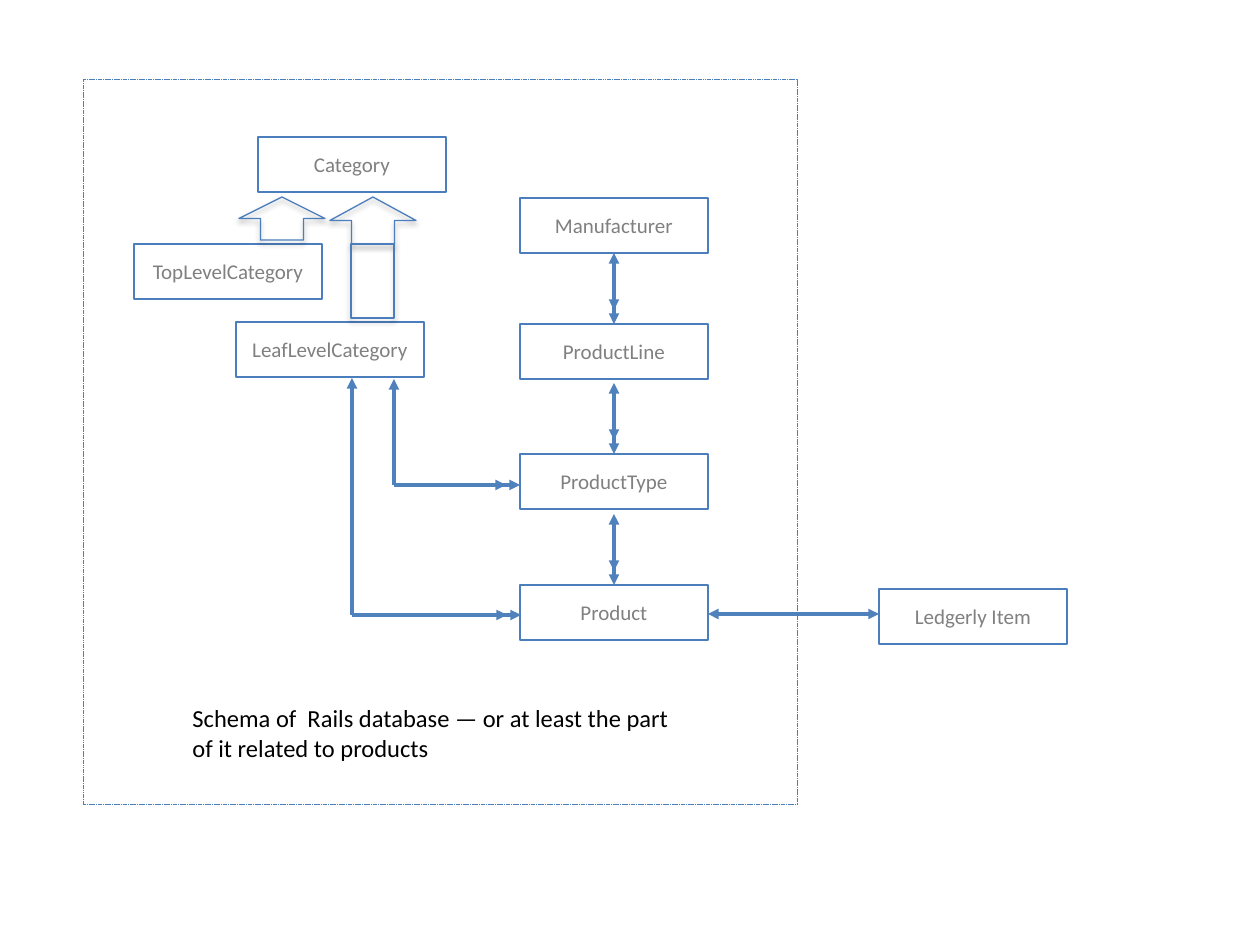
from lxml.etree import SubElement
from pptx import Presentation
from pptx.dml.color import RGBColor
from pptx.enum.dml import MSO_LINE
from pptx.enum.shapes import MSO_CONNECTOR, MSO_SHAPE
from pptx.enum.text import MSO_ANCHOR, PP_ALIGN
from pptx.oxml.ns import qn
from pptx.util import Pt

PX = 914400 // 126  # EMU in one px, 126 px to the inch
OUTLINE = RGBColor(0x4B, 0x7E, 0xBC)
LINK = RGBColor(0x4F, 0x81, 0xBD)
LABEL = RGBColor(0x80, 0x80, 0x80)
BLACK = RGBColor(0, 0, 0)
FONT = "Calibri"
TABLE_W, TABLE_H = 188, 55


def emu(*lengths):
    return [length * PX for length in lengths]


def add_run(paragraph, text, size, color):
    run = paragraph.add_run()
    run.text = text
    run.font.name = FONT
    run.font.size = Pt(size)
    run.font.color.rgb = color


def outlined(slide, preset, box, width=0.75):
    shape = slide.shapes.add_shape(preset, *emu(*box))
    shape.shadow.inherit = False
    shape.fill.background()
    shape.line.color.rgb = OUTLINE
    shape.line.width = Pt(width)
    return shape


def db_table(slide, name, left, top):
    table = outlined(slide, MSO_SHAPE.RECTANGLE, (left, top, TABLE_W, TABLE_H))
    frame = table.text_frame
    frame.word_wrap = True
    frame.vertical_anchor = MSO_ANCHOR.MIDDLE
    frame.paragraphs[0].alignment = PP_ALIGN.CENTER
    add_run(frame.paragraphs[0], name, 12, LABEL)


def shadowed(slide, preset, box):
    shape = outlined(slide, preset, box)
    effects = shape._element.spPr.find(qn("a:effectLst"))
    shadow = SubElement(effects, qn("a:outerShdw"), blurRad=str(Pt(3.1)),
                        dist=str(Pt(1.8)), dir="5400000", rotWithShape="0")
    color = SubElement(shadow, qn("a:srgbClr"), val="000000")
    SubElement(color, qn("a:alpha"), val="35000")


def link(slide, start, end, head=False, tail=False):
    line = slide.shapes.add_connector(MSO_CONNECTOR.STRAIGHT, *emu(*start, *end))
    line.line.color.rgb = LINK
    line.line.width = Pt(2)
    ln = line.line._get_or_add_ln()
    for tag, wanted in (("a:headEnd", head), ("a:tailEnd", tail)):
        if wanted:
            SubElement(ln, qn(tag), type="triangle")
    SubElement(line._element.spPr, qn("a:effectLst"))


def one_to_many_down(slide, x, top, height):
    """Arrow at the one side, doubled arrow at the many side."""
    link(slide, (x, top), (x, top + height), head=True, tail=True)
    link(slide, (x, top + 13), (x, top + height - 14), tail=True)


def one_to_many_elbow(slide, left, top, width, height):
    corner, right = top + height, left + width
    link(slide, (left, top), (left, corner), head=True)
    link(slide, (left, corner), (right, corner), tail=True)
    link(slide, (right - 85, corner), (right - 14, corner), tail=True)


def product_column(slide, left, top):
    """Chain of product tables, each owning many of the next."""
    names = ("Manufacturer", "ProductLine", "ProductType", "Product")
    offsets = (0, 126, 256, 387)
    for name, offset in zip(names, offsets):
        db_table(slide, name, left, top + offset)
    for offset in offsets[1:]:
        one_to_many_down(slide, left + TABLE_W // 2, top + offset - 71, 71)


def category_tree(slide, left, top):
    """Category with its two subclasses and their inheritance arrows."""
    db_table(slide, "Category", left + 124, top)
    db_table(slide, "TopLevelCategory", left, top + 107)
    db_table(slide, "LeafLevelCategory", left + 102, top + 185)
    shadowed(slide, MSO_SHAPE.UP_ARROW, (left + 105, top + 60, 86, 43))
    shadowed(slide, MSO_SHAPE.UP_ARROW, (left + 196, top + 60, 86, 47))
    shadowed(slide, MSO_SHAPE.RECTANGLE, (left + 217, top + 107, 43, 74))


def schema_frame(slide, left, top, width, height):
    frame = outlined(slide, MSO_SHAPE.RECTANGLE, (left, top, width, height), 0.25)
    frame.line.dash_style = MSO_LINE.SQUARE_DOT
    caption = slide.shapes.add_textbox(*emu(left + 97, top + 618, 512, 72))
    caption.text_frame.word_wrap = True
    add_run(caption.text_frame.paragraphs[0],
            "Schema of  Rails database — or at least the part of it related to products",
            14, BLACK)


def main():
    deck = Presentation()
    deck.slide_width, deck.slide_height = emu(1260, 945)
    slide = deck.slides.add_slide(deck.slide_layouts[6])

    product_column(slide, 520, 198)
    category_tree(slide, 134, 137)

    # Leaf categories own products and product types
    one_to_many_elbow(slide, 352, 378, 169, 237)
    one_to_many_elbow(slide, 394, 379, 126, 106)

    # External item paired with a product
    link(slide, (708, 614), (879, 614), head=True, tail=True)
    db_table(slide, "Ledgerly Item", 879, 589)

    schema_frame(slide, 83, 79, 714, 725)
    deck.save("out.pptx")


if __name__ == "__main__":
    main()
